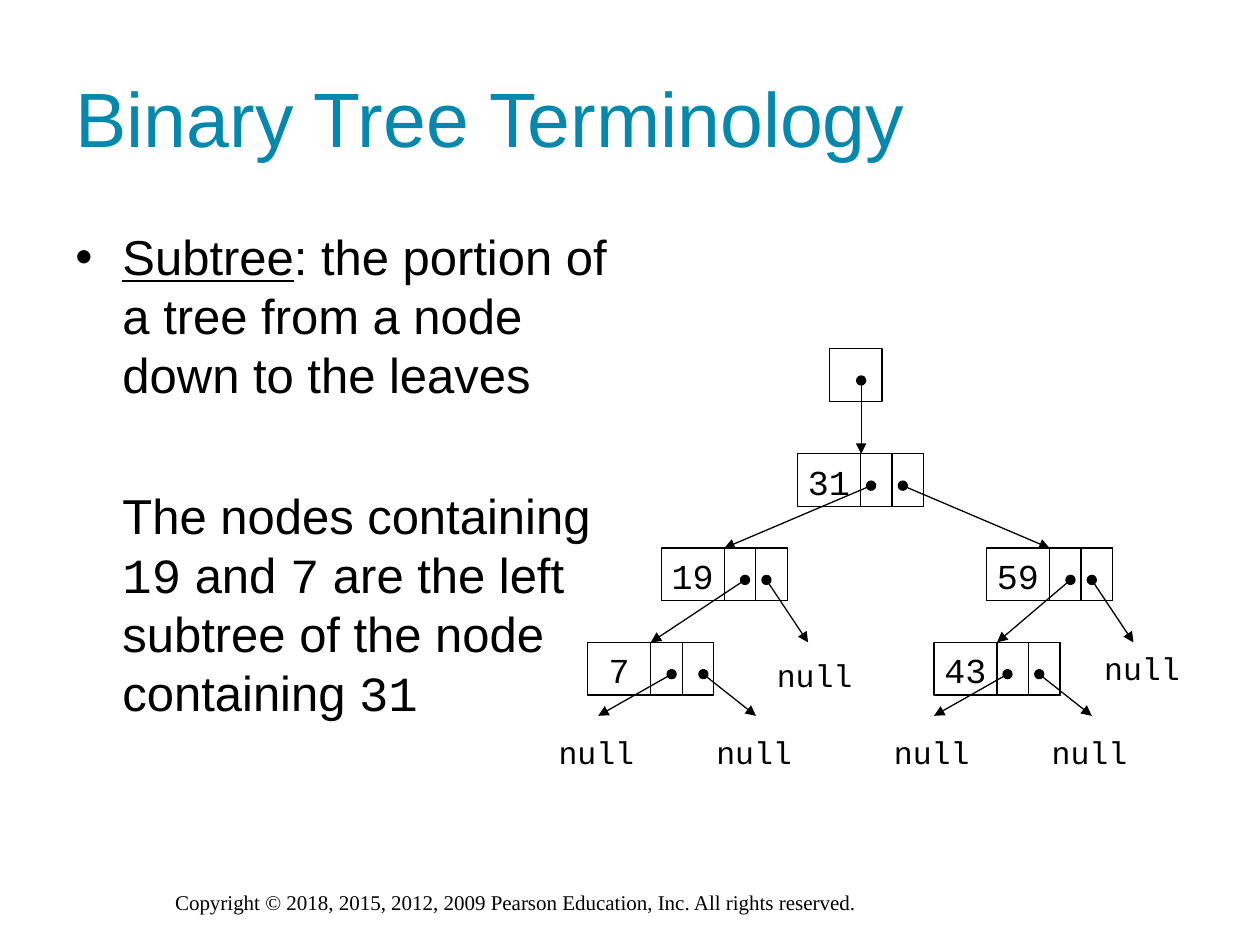
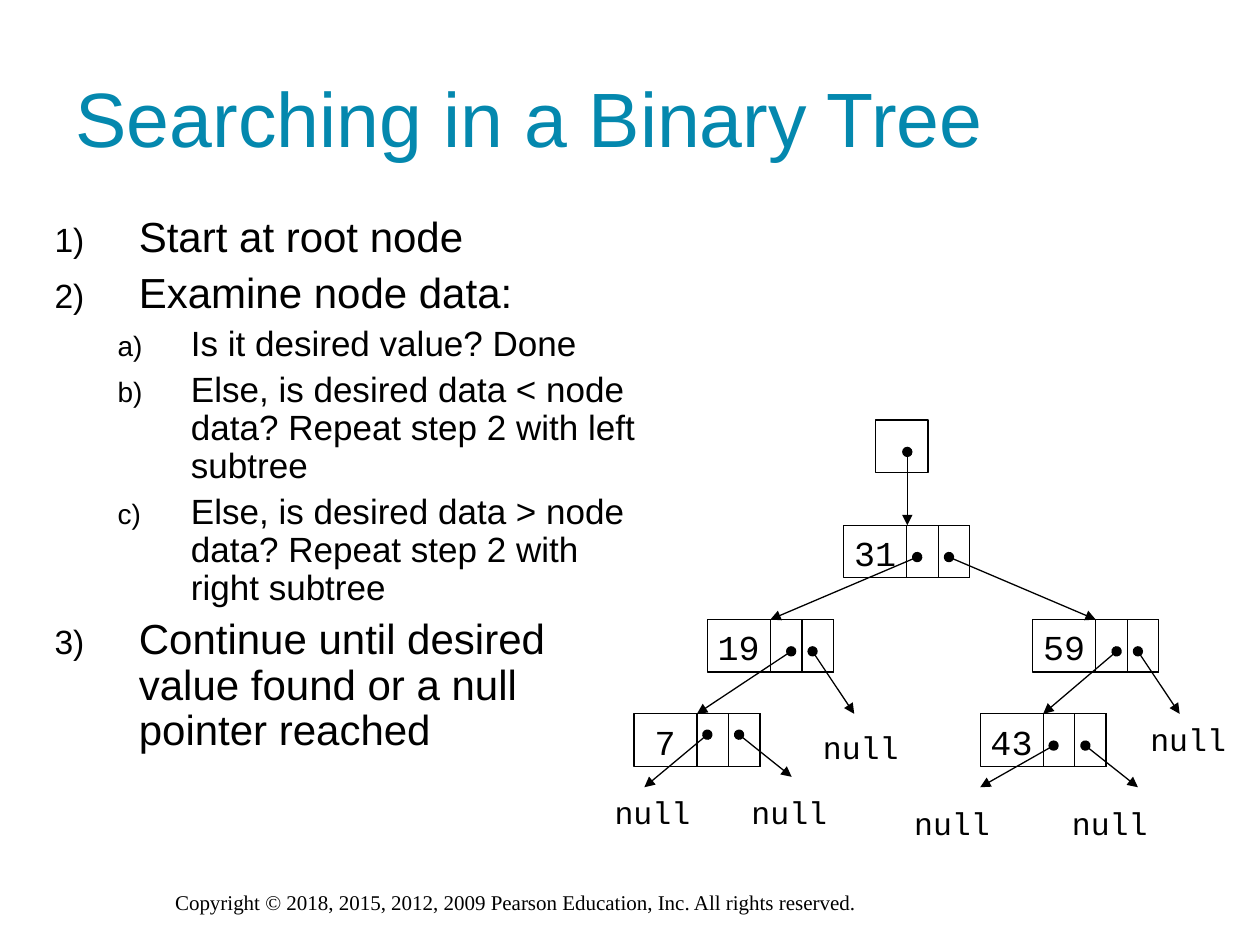
"""Build two slides about binary trees, each with a list beside a linked-node diagram."""

from dataclasses import dataclass
from typing import Optional, Union

from lxml import etree
from pptx import Presentation
from pptx import util as u
from pptx.dml.color import RGBColor
from pptx.enum import shapes, text
from pptx.oxml.ns import qn

SANS, MONO, SERIF = "Arial", "Courier New", "Times New Roman"
BLACK, TEAL = "000000", "0488AE"
NODE_WIDTH, NODE_HEIGHT, LEVEL_GAP = 2.54, 1.06, 1.9
VALUE_WIDTH, POINTER_WIDTH = NODE_WIDTH / 2, NODE_WIDTH / 4
DOT = 0.64
COPYRIGHT = "Copyright © 2018, 2015, 2012, 2009 Pearson Education, Inc. All rights reserved."


@dataclass(frozen=True)
class Null:
    """A null end: arrow tip and label corner, measured from the parent node."""

    tip: tuple[float, float]
    label: tuple[float, float]


@dataclass(frozen=True)
class Link:
    """A pointer that starts inside a node and ends at a child or a null."""

    x: float
    end: Union["Node", Null]
    y: float = DOT


@dataclass(frozen=True)
class Node:
    """A tree node, shifted sideways from its parent."""

    value: str
    shift: float
    left: Link
    right: Link


@dataclass(frozen=True)
class Run:
    """A stretch of text in one format."""

    words: str
    font: str = SANS
    underline: bool = False


@dataclass(frozen=True)
class Item:
    """A list paragraph with its layout."""

    runs: tuple[Run, ...]
    size: float
    margin: float
    hanging: float = 0
    before: float = 0
    spacing: Optional[float] = None
    level: int = 0
    character: str = ""
    numbering: str = ""


def rgb(value: str) -> RGBColor:
    """Turn a hex string into a colour."""
    return RGBColor.from_string(value)


def write(paragraph, words: str, *, size: float, font: str = SANS,
          color: str = BLACK, underline: bool = False) -> None:
    """Add a formatted run to a paragraph."""
    run = paragraph.add_run()
    run.text = words
    run.font.size = u.Pt(size)
    run.font.name = font
    run.font.color.rgb = rgb(color)
    if underline:
        run.font.underline = True


def add_box(holder, left: float, top: float, width: float, height: float, wrap: bool = True):
    """Add an empty text box and return its text frame."""
    box = holder.add_textbox(u.Cm(left), u.Cm(top), u.Cm(width), u.Cm(height))
    box.text_frame.word_wrap = wrap
    return box.text_frame


def label_width(words: str, size: float) -> float:
    """Give the width of a monospaced label with its side insets."""
    return 0.51 + len(words) * size * 0.6 * 2.54 / 72


def add_label(holder, words: str, left: float, top: float, size: float) -> None:
    """Add a one-line monospaced label."""
    frame = add_box(holder, left, top, label_width(words, size), NODE_HEIGHT, wrap=False)
    write(frame.paragraphs[0], words, size=size, font=MONO)


def add_cell(holder, left: float, top: float, width: float) -> None:
    """Add an outlined rectangle as tall as a node."""
    cell = holder.add_shape(shapes.MSO_SHAPE.RECTANGLE, u.Cm(left), u.Cm(top),
                            u.Cm(width), u.Cm(NODE_HEIGHT))
    cell.shadow.inherit = False
    cell.fill.background()
    cell.line.color.rgb = rgb(BLACK)
    cell.line.width = u.Pt(0.75)


def add_arrow(holder, start: tuple[float, float], tip: tuple[float, float]) -> None:
    """Add an arrow with a dot at its start."""
    arrow = holder.add_connector(shapes.MSO_CONNECTOR.STRAIGHT,
                                 *(u.Cm(length) for length in (*start, *tip)))
    arrow.line.color.rgb = rgb(BLACK)
    arrow.line.width = u.Pt(0.75)
    properties = arrow.element.spPr
    outline = properties.find(qn("a:ln"))
    etree.SubElement(outline, qn("a:headEnd"), type="oval")
    etree.SubElement(outline, qn("a:tailEnd"), type="triangle")
    etree.SubElement(properties, qn("a:effectLst"))


def add_node(holder, node: Node, left: float, top: float) -> None:
    """Draw a node, its pointers and everything below it."""
    add_cell(holder, left, top, NODE_WIDTH)
    for index in range(2):
        add_cell(holder, left + VALUE_WIDTH + index * POINTER_WIDTH, top, POINTER_WIDTH)
    indent = (VALUE_WIDTH - label_width(node.value, 20)) / 2
    add_label(holder, node.value, left + indent, top, 20)
    for link in (node.left, node.right):
        end = link.end
        if isinstance(end, Node):
            child_left, child_top = left + end.shift, top + LEVEL_GAP
            tip = (child_left + VALUE_WIDTH, child_top)
            add_node(holder, end, child_left, child_top)
        else:
            tip = (left + end.tip[0], top + end.tip[1])
            add_label(holder, "null", left + end.label[0], top + end.label[1], 18)
        add_arrow(holder, (left + link.x, top + link.y), tip)


def add_tree(slide, root: Node, left: float, top: float) -> None:
    """Draw the root pointer and its tree as one group."""
    holder = slide.shapes.add_group_shape().shapes
    root_top = top + 2 * NODE_HEIGHT
    add_cell(holder, left, top, NODE_HEIGHT)
    add_node(holder, root, left + root.shift, root_top)
    add_arrow(holder, (left + DOT, top + DOT), (left + DOT, root_top))


def make_tree(seven: Node, forty_three: Node) -> Node:
    """Join the two lowest nodes under the shared upper nodes."""
    nineteen = Node("19", -2.75, Link(1.69, seven),
                    Link(2.12, Null((2.96, 1.9), (2.08, 2.06))))
    fifty_nine = Node("59", 3.81, Link(1.69, forty_three),
                      Link(2.12, Null((2.96, 1.9), (2.12, 1.9))))
    return Node("31", -0.64, Link(1.48, nineteen), Link(2.12, fifty_nine))


def add_list(slide, items: list[Item], left: float, top: float,
             width: float, height: float) -> None:
    """Add a list of paragraphs with bullets or numbers."""
    frame = add_box(slide.shapes, left, top, width, height)
    for index, item in enumerate(items):
        paragraph = frame.add_paragraph() if index else frame.paragraphs[0]
        paragraph.level = item.level
        properties = paragraph._p.get_or_add_pPr()
        properties.set("marL", str(u.Cm(item.margin)))
        properties.set("indent", str(-u.Cm(item.hanging)))
        if item.numbering:
            etree.SubElement(properties, qn("a:buSzPct"), val="80000")
            etree.SubElement(properties, qn("a:buFont"), typeface=SANS)
            etree.SubElement(properties, qn("a:buAutoNum"), type=item.numbering)
        elif item.character:
            etree.SubElement(properties, qn("a:buFont"), typeface=SANS)
            etree.SubElement(properties, qn("a:buChar"), char=item.character)
        if index:
            paragraph.space_before = u.Pt(item.before)
        if item.spacing:
            paragraph.line_spacing = item.spacing
        for run in item.runs:
            write(paragraph, run.words, size=item.size, font=run.font, underline=run.underline)


def step(words: str) -> Item:
    """Make a main numbered step."""
    return Item((Run(words),), 24, 1.7, 1.7, 6, 0.9, numbering="arabicParenR")


def substep(words: str) -> Item:
    """Make a lettered step one level down."""
    return Item((Run(words),), 20, 2.75, 1.48, 5, 0.9, level=1, numbering="alphaLcParenR")


def add_slide(presentation, title: str):
    """Add a slide with its title and copyright line."""
    slide = presentation.slides.add_slide(presentation.slide_layouts[5])
    heading = slide.shapes.title
    heading.left, heading.top = u.Cm(1.27), u.Cm(0.76)
    heading.width, heading.height = u.Cm(22.86), u.Cm(3.18)
    frame = heading.text_frame
    frame.auto_size = text.MSO_AUTO_SIZE.NONE
    frame.vertical_anchor = text.MSO_ANCHOR.MIDDLE
    frame.paragraphs[0].alignment = text.PP_ALIGN.LEFT
    write(frame.paragraphs[0], title, size=44, color=TEAL)
    footer = add_box(slide.shapes, 3.28, 17.8, 18.85, 0.76)
    write(footer.paragraphs[0], COPYRIGHT, size=12, font=SERIF)
    return slide


def add_terminology(presentation) -> None:
    """Build the slide that defines a subtree."""
    slide = add_slide(presentation, "Binary Tree Terminology")
    definition = (Run("Subtree", underline=True),
                  Run(": the portion of a tree from a node down to the leaves"))
    example = (Run("The nodes containing "), Run("19", MONO), Run(" and "), Run("7", MONO),
               Run(" are the left subtree of the node containing "), Run("31", MONO))
    add_list(slide, [Item(definition, 28, 0.95, 0.95, character="•"),
                     Item(example, 28, 0.95, before=47)], 1.27, 4.45, 11.53, 11.43)
    seven = Node("7", -1.48, Link(1.69, Null((0.21, 1.48), (-0.84, 1.7))),
                 Link(2.33, Null((3.39, 1.48), (2.34, 1.7))))
    forty_three = Node("43", -1.06, Link(1.48, Null((0, 1.48), (-1.06, 1.7))),
                       Link(2.12, Null((3.18, 1.48), (2.12, 1.7))))
    add_tree(slide, make_tree(seven, forty_three), 16.72, 7.03)


def add_searching(presentation) -> None:
    """Build the slide with the search steps."""
    slide = add_slide(presentation, "Searching in a Binary Tree")
    add_list(slide, [
        step("Start at root node"),
        step("Examine node data:"),
        substep("Is it desired value? Done"),
        substep("Else, is desired data < node data? Repeat step 2 with left subtree"),
        substep("Else, is desired data > node data? Repeat step 2 with right subtree"),
        step("Continue until desired value found or a null pointer reached"),
    ], 0.85, 4.23, 12.5, 12.7)
    seven = Node("7", -1.48, Link(1.48, Null((0.21, 1.48), (-0.64, 1.48)), 0.42),
                 Link(2.12, Null((3.18, 1.27), (2.12, 1.48)), 0.42))
    forty_three = Node("43", -1.06, Link(1.48, Null((0, 1.48), (-1.58, 1.7))),
                       Link(2.12, Null((3.18, 1.48), (1.6, 1.7))))
    add_tree(slide, make_tree(seven, forty_three), 17.65, 8.47)


def main() -> None:
    """Build and save the presentation."""
    presentation = Presentation()
    presentation.slide_width, presentation.slide_height = u.Cm(25.4), u.Cm(19.05)
    add_terminology(presentation)
    add_searching(presentation)
    presentation.save("out.pptx")


if __name__ == "__main__":
    main()
